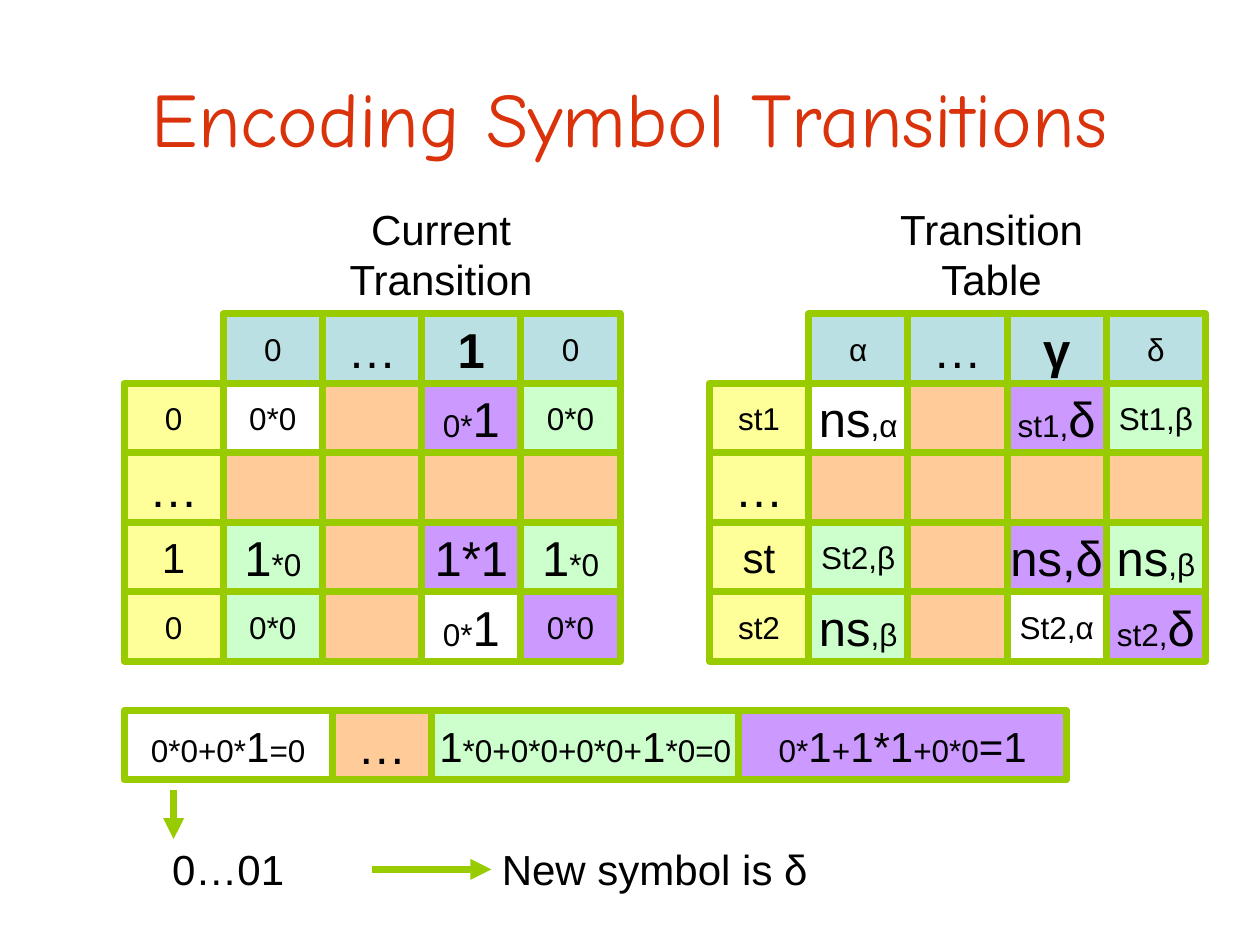
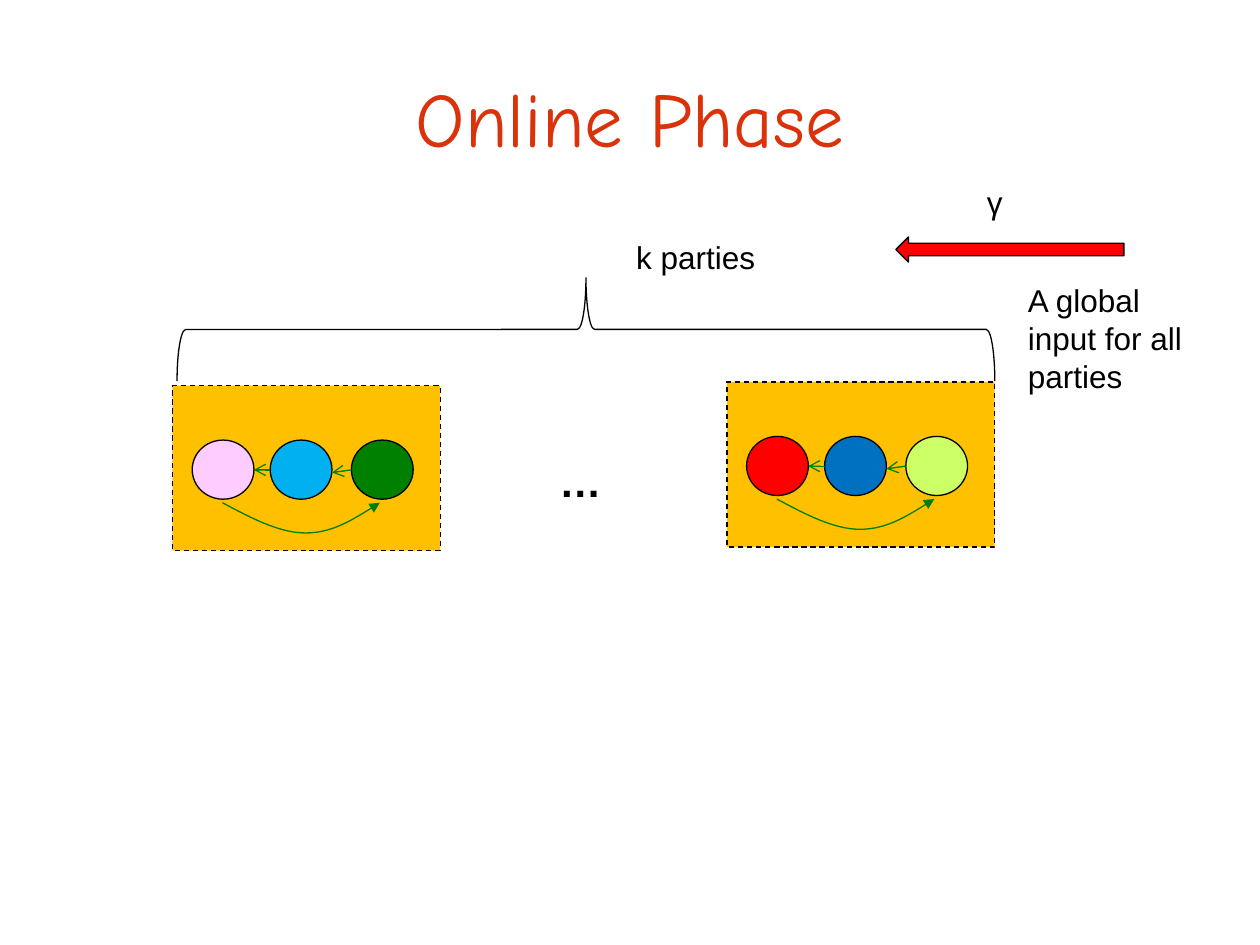
from dataclasses import dataclass

from lxml import etree
from pptx import Presentation
from pptx.dml.color import RGBColor
from pptx.enum import dml, shapes, text
from pptx.oxml import ns
from pptx.util import Pt


@dataclass(frozen=True)
class Theme:
    title: str = "DA320A"
    ink: str = "000000"
    lime: str = "99CC00"
    green: str = "008000"
    red: str = "FF0000"
    gold: str = "FFC000"
    blue: str = "BBE0E3"
    yellow: str = "FFFF99"
    white: str = "FFFFFF"
    peach: str = "FFCC99"
    violet: str = "CC99FF"
    mint: str = "CCFFCC"
    body: str = "Arial"
    head: str = "Comic Neue"
    small: int = 18
    mid: int = 24
    large: int = 28
    huge: int = 44
    thin: float = 0.75
    thick: float = 4


T = Theme()
S, M, L = T.small, T.mid, T.large
KIND = shapes.MSO_SHAPE
MIDDLE = text.MSO_ANCHOR.MIDDLE
CENTER = text.PP_ALIGN.CENTER

# Cell grid
CELL_W, CELL_H = 56.7, 39.7
LEFT, TOP = 70.9, 179.3
DOTS = [("…", L)]
SHADES = [
    [T.white, T.peach, T.violet, T.mint],
    [T.peach] * 4,
    [T.mint, T.peach, T.violet, T.mint],
    [T.mint, T.peach, T.white, T.violet],
]


# Basic elements
def rgb(code):
    return RGBColor.from_string(code)


def write(shape, runs, align=CENTER, anchor=MIDDLE, wrap=False,
          font=T.body, color=T.ink, bold=False):
    frame = shape.text_frame
    frame.word_wrap = wrap
    frame.vertical_anchor = anchor
    para = frame.paragraphs[0]
    para.alignment = align
    for words, size in runs:
        run = para.add_run()
        run.text = words
        run.font.name = font
        run.font.size = Pt(size)
        run.font.bold = bold
        run.font.color.rgb = rgb(color)


def label(slide, box, runs, **style):
    write(slide.shapes.add_textbox(*map(Pt, box)), runs, **style)


def shape(slide, kind, box, fill=None, line=T.ink, width=T.thin):
    item = slide.shapes.add_shape(kind, *map(Pt, box))
    item.shadow.inherit = False
    if fill:
        item.fill.solid()
        item.fill.fore_color.rgb = rgb(fill)
    else:
        item.fill.background()
    item.line.color.rgb = rgb(line)
    item.line.width = Pt(width)
    return item


def tip(item, color, width, head):
    item.line.color.rgb = rgb(color)
    item.line.width = Pt(width)
    end = etree.SubElement(item.line._get_or_add_ln(), ns.qn("a:tailEnd"))
    end.set("type", head)


def arrow(slide, start, stop, color=T.green, width=T.thin, head="arrow"):
    item = slide.shapes.add_connector(
        shapes.MSO_CONNECTOR.STRAIGHT, *map(Pt, (*start, *stop)))
    tip(item, color, width, head)
    etree.SubElement(item._element.spPr, ns.qn("a:effectLst"))


def curve(slide, points):
    """Draw cubic segments: a start, then three points for each segment."""
    spots = [(Pt(x), Pt(y)) for x, y in points]
    draft = slide.shapes.build_freeform(*spots[0])
    draft.add_line_segments(spots[1:], close=False)
    item = draft.convert_to_shape()
    item.shadow.inherit = False
    item.fill.background()
    steps = item._element.xpath(".//a:lnTo")
    for first, *rest in zip(steps[::3], steps[1::3], steps[2::3]):
        bend = etree.Element(ns.qn("a:cubicBezTo"))
        first.addprevious(bend)
        for step in (first, *rest):
            bend.append(step[0])
            step.getparent().remove(step)
    tip(item, T.green, T.thin, "triangle")


def page(deck, title):
    slide = deck.slides.add_slide(deck.slide_layouts[6])
    label(slide, (36, 21.6, 648, 90), [(title, T.huge)],
          wrap=True, font=T.head, color=T.title)
    return slide


# Encoding slide
def cell(slide, x, y, fill, runs, width=CELL_W, bold=False):
    box = shape(slide, KIND.RECTANGLE, (x, y, width, CELL_H), fill, T.lime, T.thick)
    write(box, runs, bold=bold)


def grid(slide, left, heads, sides, body):
    for col, runs in enumerate(heads, 1):
        cell(slide, left + col * CELL_W, TOP, T.blue, runs, bold=col == 3)
    for row, (side, shades, line) in enumerate(zip(sides, SHADES, body), 1):
        y = TOP + row * CELL_H
        cell(slide, left, y, T.yellow, side)
        for col, (fill, runs) in enumerate(zip(shades, line), 1):
            cell(slide, left + col * CELL_W, y, fill, runs)


def encode(deck):
    slide = page(deck, "Encoding Symbol Transitions")
    label(slide, (155.5, 128.2, 193, 33.8), [("Current Transition", M)])
    label(slide, (478.8, 128.2, 175.7, 33.8), [("Transition Table", M)])

    zero, gap = [("0", S)], []
    pair = [("0*0", S)]
    zero_one = [("0*", S), ("1", L)]
    one_zero = [("1", L), ("*0", S)]
    grid(slide, LEFT,
         [zero, DOTS, [("1", L)], zero],
         [zero, DOTS, [("1", M)], zero],
         [[pair, gap, zero_one, pair],
          [gap] * 4,
          [one_zero, gap, [("1*1", L)], one_zero],
          [pair, gap, zero_one, pair]])

    next_beta = [("ns", L), (",β", S)]
    grid(slide, 405.4,
         [[("α", S)], DOTS, [("γ", L)], [("δ", S)]],
         [[("st1", S)], DOTS, [("st", M)], [("st2", S)]],
         [[[("ns", L), (",α", S)], gap, [("st1,", S), ("δ", L)], [("St1,β", S)]],
          [gap] * 4,
          [[("St2,β", S)], gap, [("ns,δ", L)], next_beta],
          [next_beta, gap, [("St2,α", S)], [("st2,", S), ("δ", L)]]])

    # Sums of products
    sums = [
        (119, T.white, [("0*0+0*", S), ("1", M), ("=0", S)]),
        (CELL_W, T.peach, DOTS),
        (175.7, T.mint, [("1", M), ("*0+0*0+0*0+", S), ("1", M), ("*0=0", S)]),
        (187.2, T.violet, [("0*", S), ("1", M), ("+", S), ("1*1", M),
                           ("+0*0", S), ("=1", M)]),
    ]
    x = LEFT
    for width, fill, runs in sums:
        cell(slide, x, 406, fill, runs, width)
        x += width

    # Result
    for start, stop in (((99.2, 451.4), (99.2, 479.5)),
                        ((212.6, 496.8), (280.8, 496.8))):
        arrow(slide, start, stop, T.lime, T.thick, "triangle")
    label(slide, (LEFT, 479.5, 119, 33.8), [("0…01", M)])
    label(slide, (257.8, 479.5, 232.6, 33.8), [("New symbol is δ", M)])


# Online slide
def party(slide, x, y, fills):
    box = shape(slide, KIND.RECTANGLE, (x, y, 153, 94.3), T.gold)
    box.line.dash_style = dml.MSO_LINE.DASH
    for left, fill in zip((11.2, 55.8, 102.2), fills):
        shape(slide, KIND.OVAL, (x + left, y + 31.2, 35.3, 33.8), fill)
    arrow(slide, (x + 102.2, y + 48.2), (x + 91.2, y + 49.7))
    arrow(slide, (x + 55.8, y + 48.2), (x + 46.5, y + 48.2))
    bends = [(28.5, 67), (44.6, 75.6), (61, 84.3), (76, 84.3),
             (90.7, 84.3), (104.9, 75.6), (118.5, 67)]
    curve(slide, [(x + dx, y + dy) for dx, dy in bends])


def online(deck):
    slide = page(deck, "Online Phase")
    top = text.MSO_ANCHOR.TOP
    note = dict(anchor=top, align=text.PP_ALIGN.LEFT, wrap=True)

    # Global input
    label(slide, (554.4, 100.8, 28.1, 34.6), [("γ", S)], anchor=top, wrap=True)
    feed = shape(slide, KIND.LEFT_ARROW, (511.9, 135.4, 130.3, 14.4), T.red)
    feed.adjustments[1] = 0.5
    label(slide, (580.3, 157, 108.7, 73.4),
          [("A global input for all parties", S)], **note)

    # Parties under one brace
    party(slide, 98.6, 220.3, ("FFCCFF", "00B0F0", T.green))
    party(slide, 415.4, 218.2, (T.red, "0070C0", "CCFF66"))
    label(slide, (269.3, 257, 124.6, 33.8), [("…", M)],
          anchor=top, wrap=True, bold=True)
    brace = shape(slide, KIND.LEFT_BRACE, (305.3, -45.4, 59, 467.3))
    brace.rotation = 90
    label(slide, (356.4, 132.5, 87.8, 36), [("k parties", S)], **note)


def main():
    deck = Presentation()
    deck.slide_width, deck.slide_height = Pt(720), Pt(540)
    encode(deck)
    online(deck)
    deck.save("out.pptx")


if __name__ == "__main__":
    main()
